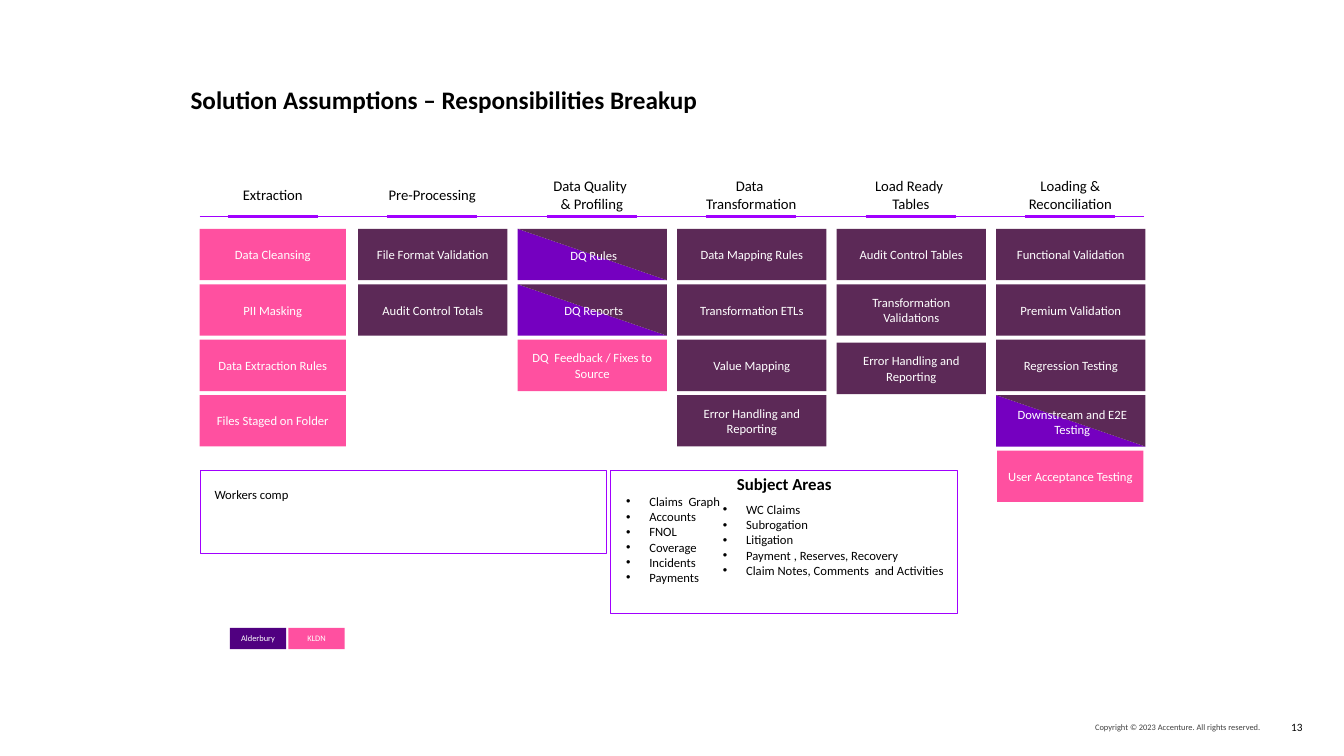
from pptx import Presentation, util as u
from pptx.dml.color import RGBColor
from pptx.enum import shapes, text
from pptx.oxml.ns import qn
from lxml import etree

Inches = u.Inches
COLORS = {"black": "000000", "grey": "404040", "white": "FFFFFF", "line": "A100FF",
          "legend": "500080", "client": "FF50A0", "vendor": "5C2957", "shared": "7500C0"}
RECT = shapes.MSO_SHAPE.RECTANGLE
TRIANGLE = shapes.MSO_SHAPE.RIGHT_TRIANGLE
LEFT, CENTER, RIGHT = text.PP_ALIGN.LEFT, text.PP_ALIGN.CENTER, text.PP_ALIGN.RIGHT
TOP, MIDDLE = text.MSO_ANCHOR.TOP, text.MSO_ANCHOR.MIDDLE

# (heading, [(task, owner), ...]) from left to right
STAGES = [
    ("Extraction", [("Data Cleansing", "client"), ("PII Masking", "client"),
                    ("Data Extraction Rules", "client"),
                    ("Files Staged on Folder", "client")]),
    ("Pre-Processing", [("File Format Validation", "vendor"),
                        ("Audit Control Totals", "vendor")]),
    ("Data Quality \n& Profiling", [("DQ Rules", "shared"), ("DQ Reports", "shared"),
                                    ("DQ  Feedback / Fixes to Source", "client")]),
    ("Data \nTransformation", [("Data Mapping Rules", "vendor"),
                               ("Transformation ETLs", "vendor"),
                               ("Value Mapping", "vendor"),
                               ("Error Handling and Reporting", "vendor")]),
    ("Load Ready \vTables", [("Audit Control Tables", "vendor"),
                             ("Transformation Validations", "vendor"),
                             ("Error Handling and Reporting", "vendor")]),
    ("Loading & Reconciliation", [("Functional Validation", "vendor"),
                                  ("Premium Validation", "vendor"),
                                  ("Regression Testing", "vendor"),
                                  ("Downstream and E2E Testing", "shared"),
                                  ("User Acceptance Testing", "client")]),
]


def write(shape, wording, size=9, color="black", bold=False, align=LEFT, anchor=TOP,
          inset=(0, 0, 0, 0), wrap=True, spacing=None, indent=None):
    """Fill a shape with text; each line of wording becomes a paragraph."""
    frame = shape.text_frame
    frame.text = wording
    frame.word_wrap = wrap
    frame.auto_size = text.MSO_AUTO_SIZE.NONE
    frame.vertical_anchor = anchor
    (frame.margin_left, frame.margin_top,
     frame.margin_right, frame.margin_bottom) = map(Inches, inset)
    for paragraph in frame.paragraphs:
        paragraph.alignment = align
        paragraph.space_before = u.Pt(0)
        if spacing:
            paragraph.line_spacing = spacing
        if indent:
            properties = paragraph._p.get_or_add_pPr()
            properties.set("marL", str(Inches(indent)))
            properties.set("indent", str(-Inches(indent)))
        for run in paragraph.runs:
            run.font.name = "Calibri"
            run.font.size = u.Pt(size)
            run.font.bold = bold
            run.font.color.rgb = RGBColor.from_string(COLORS[color])


def add_block(parent, box, fill=None, line=None, kind=RECT):
    block = parent.add_shape(kind, *map(Inches, box))
    block.shadow.inherit = False
    if fill:
        block.fill.solid()
        block.fill.fore_color.rgb = RGBColor.from_string(COLORS[fill])
    else:
        block.fill.background()
    if line:
        block.line.color.rgb = RGBColor.from_string(COLORS[line])
        block.line.width = u.Pt(0.75)
    else:
        block.line.fill.background()
    return block


deck = Presentation()
deck.slide_width, deck.slide_height = Inches(13.33), Inches(7.5)
slide = deck.slides.add_slide(deck.slide_layouts[3])
canvas = slide.shapes

# Title and footer
title = canvas.title
title.left, title.top, title.width, title.height = map(Inches, (1.89, 0.84, 8.33, 0.52))
write(title, "Solution Assumptions – Responsibilities Breakup", size=18, bold=True,
      inset=(0, 0.05, 0, 0), spacing=0.8)
rights = canvas.add_textbox(*map(Inches, (8, 7.1, 4.5, 0.22)))
write(rights, "Copyright © 2023 Accenture. All rights reserved.", size=6, color="grey",
      align=RIGHT, anchor=MIDDLE)
page_number = canvas.add_textbox(*map(Inches, (12.56, 7.1, 0.36, 0.22)))
write(page_number, "13", size=8, align=RIGHT, anchor=MIDDLE, wrap=False)

# Legend
for left, owner, fill in [(2.28, "Alderbury", "legend"), (2.86, "KLDN", "client")]:
    key = add_block(canvas, (left, 6.23, 0.56, 0.21), fill)
    write(key, owner, size=6, color="white", align=CENTER, anchor=MIDDLE,
          inset=(0.03, 0.03, 0.03, 0.03))

# Stage columns
FIRST_LEFT, COLUMN_STEP = 1.97, (9.88 - 1.97) / 5
FIRST_TOP, ROW_STEP = 2.27, 0.55
TASK_WIDTH, TASK_HEIGHT = 1.48, 0.51
rules = [(1.98, 11.35, 0.75)]
for column, (heading, tasks) in enumerate(STAGES):
    left = FIRST_LEFT + column * COLUMN_STEP
    header = canvas.add_textbox(*map(Inches, (left - 0.01, 1.77, 1.49, 0.32)))
    write(header, heading, size=10.5, align=CENTER, anchor=MIDDLE,
          inset=(0.1, 0.05, 0.1, 0.05))
    rules.append((left + 0.29, left + 1.18, 2.25))
    for row, (task, owner) in enumerate(tasks):
        top = FIRST_TOP + row * ROW_STEP
        box = (left, top, TASK_WIDTH, TASK_HEIGHT)
        if owner == "shared":
            split = canvas.add_group_shape().shapes
            add_block(split, box, "shared", kind=TRIANGLE)
            add_block(split, box, "vendor", kind=TRIANGLE).rotation = 180
            drop = 0.12 if len(task) > 20 else 0.19
            label = split.add_textbox(*map(Inches, (left + 0.19, top + drop, 1.13, 0.23)))
            write(label, task, color="white", align=CENTER)
            continue
        if owner == "client" and column in (0, 5):
            box = (left + 0.01, top, 1.45, TASK_HEIGHT)
        elif column == 4 and row == 2:
            box = (left, top + 0.03, TASK_WIDTH, TASK_HEIGHT)
        write(add_block(canvas, box, owner), task, color="white", align=CENTER,
              anchor=MIDDLE, inset=(0.1, 0.07, 0.1, 0.07))

for start, end, weight in rules:
    rule = canvas.add_connector(shapes.MSO_CONNECTOR.STRAIGHT, Inches(start), Inches(2.15),
                                Inches(end), Inches(2.15))
    rule.line.color.rgb = RGBColor.from_string(COLORS["line"])
    rule.line.width = u.Pt(weight)
    etree.SubElement(rule._element.spPr, qn("a:effectLst"))

# Scope panels
for panel in [(1.99, 4.67, 4.03, 0.82), (6.06, 4.67, 3.44, 1.42)]:
    add_block(canvas, panel, line="line")
scope = canvas.add_textbox(*map(Inches, (2.03, 4.78, 4.06, 0.25)))
write(scope, "Workers comp", inset=(0.1, 0.05, 0.1, 0.05))
subject_heading = canvas.add_textbox(*map(Inches, (7.13, 4.7, 1.3, 0.21)))
write(subject_heading, "Subject Areas", size=12, bold=True, align=CENTER)

subject_lists = [
    (1, (6.21, 4.9, 0.95, 0.96),
     ["Claims  Graph", "Accounts", "FNOL", "Coverage", "Incidents", "Payments"]),
    (2, (7.17, 4.98, 2.33, 1.06),
     ["WC Claims", "Subrogation", "Litigation", "Payment , Reserves, Recovery",
      "Claim Notes, Comments  and Activities"]),
]
for index, box, subjects in subject_lists:
    listing = slide.placeholders[index]
    listing.left, listing.top, listing.width, listing.height = map(Inches, box)
    write(listing, "\n".join(subjects), indent=0.23)

deck.save("out.pptx")
